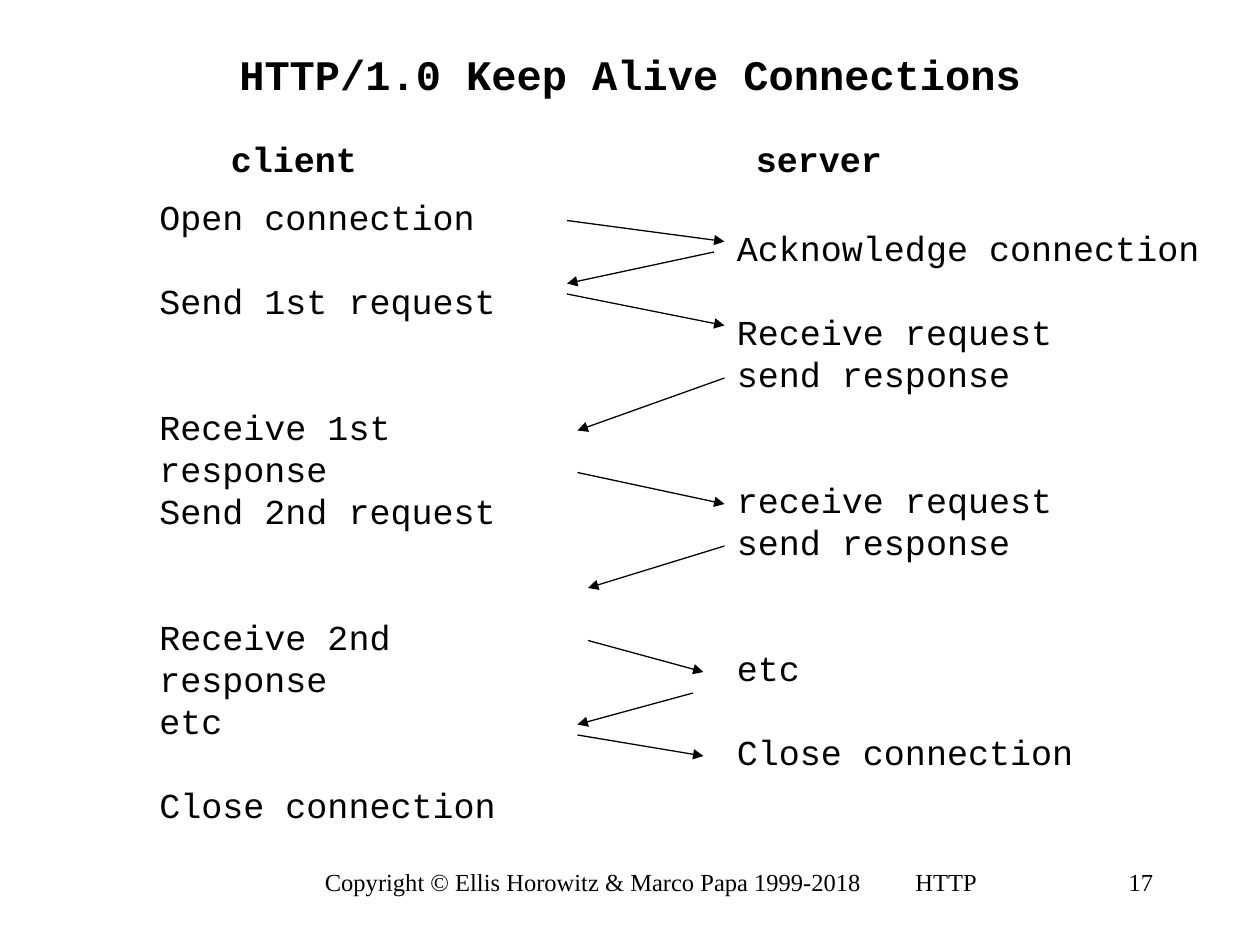
from dataclasses import dataclass

import lxml.etree
import pptx
import pptx.dml.color
import pptx.enum.shapes
import pptx.enum.text
import pptx.oxml.ns
import pptx.util

EMU_PER_PX = 7620
LINE_POINTS = 24
INK = "000000"
MONO = "Courier New"
SERIF = "Times New Roman"
ALIGN = pptx.enum.text.PP_ALIGN


@dataclass
class Step:
    text: str
    skipped_lines: int = 0


@dataclass
class TextBlock:
    left: int
    top: int
    width: int
    height: int
    steps: list[Step]
    font: str = MONO
    size: int = 20
    bold: bool = False
    align: ALIGN = ALIGN.LEFT
    wrap: bool = False
    grow: bool = True
    middle: bool = False


@dataclass
class Message:
    start_x: int
    start_y: int
    end_x: int
    end_y: int


def px(length: int) -> pptx.util.Emu:
    return pptx.util.Emu(length * EMU_PER_PX)


def color(value: str) -> pptx.dml.color.RGBColor:
    return pptx.dml.color.RGBColor.from_string(value)


def draw_text(slide, block: TextBlock) -> None:
    shape = slide.shapes.add_textbox(
        px(block.left), px(block.top), px(block.width), px(block.height)
    )
    frame = shape.text_frame
    frame.word_wrap = block.wrap
    if block.grow:
        frame.auto_size = pptx.enum.text.MSO_AUTO_SIZE.SHAPE_TO_FIT_TEXT
    if block.middle:
        frame.vertical_anchor = pptx.enum.text.MSO_ANCHOR.MIDDLE
    for index, step in enumerate(block.steps):
        paragraph = frame.add_paragraph() if index else frame.paragraphs[0]
        paragraph.text = step.text
        paragraph.alignment = block.align
        if block.size == 20:
            paragraph.line_spacing = pptx.util.Pt(LINE_POINTS)
            paragraph.space_before = pptx.util.Pt(step.skipped_lines * LINE_POINTS)
        paragraph.font.name = block.font
        paragraph.font.size = pptx.util.Pt(block.size)
        paragraph.font.bold = block.bold
        paragraph.font.color.rgb = color(INK)


def draw_message(slide, message: Message) -> None:
    connector = slide.shapes.add_connector(
        pptx.enum.shapes.MSO_CONNECTOR.STRAIGHT,
        px(message.start_x), px(message.start_y),
        px(message.end_x), px(message.end_y),
    )
    connector.line.width = pptx.util.Pt(0.75)
    connector.line.color.rgb = color(INK)
    qualified = pptx.oxml.ns.qn
    properties = connector._element.spPr
    line = properties.find(qualified("a:ln"))
    lxml.etree.SubElement(line, qualified("a:tailEnd"), type="triangle")
    lxml.etree.SubElement(properties, qualified("a:effectLst"))


CLIENT_STEPS = [
    Step("Open connection"),
    Step("Send 1st request", 1),
    Step("Receive 1st response", 2),
    Step("Send 2nd request"),
    Step("Receive 2nd response", 2),
    Step("etc"),
    Step("Close connection", 1),
]
SERVER_STEPS = [
    Step("Acknowledge connection"),
    Step("Receive request", 1),
    Step("send response"),
    Step("receive request", 2),
    Step("send response"),
    Step("etc", 2),
    Step("Close connection", 1),
]
COPYRIGHT = "Copyright © Ellis Horowitz & Marco Papa 1999-2018"
TEXT_BLOCKS = [
    TextBlock(860, 820, 83, 41, [Step("HTTP")], SERIF, 14),
    TextBlock(270, 820, 590, 60, [Step(COPYRIGHT)], SERIF, 14,
              align=ALIGN.CENTER, wrap=True, grow=False),
    TextBlock(1040, 820, 70, 60, [Step("17")], SERIF, 14,
              align=ALIGN.RIGHT, wrap=True, grow=False),
    TextBlock(90, 40, 1020, 60, [Step("HTTP/1.0 Keep Alive Connections")], size=24,
              bold=True, align=ALIGN.CENTER, wrap=True, grow=False, middle=True),
    TextBlock(140, 180, 420, 612, CLIENT_STEPS, wrap=True),
    TextBlock(690, 210, 468, 533, SERVER_STEPS),
    TextBlock(208, 125, 144, 53, [Step("client")], bold=True),
    TextBlock(708, 125, 144, 53, [Step("server")], bold=True),
]
MESSAGES = [
    Message(540, 210, 690, 230),
    Message(680, 240, 540, 270),
    Message(540, 280, 690, 310),
    Message(690, 360, 550, 410),
    Message(550, 450, 690, 480),
    Message(690, 520, 560, 560),
    Message(560, 610, 670, 640),
    Message(660, 660, 550, 690),
    Message(550, 700, 670, 720),
]


def main() -> None:
    presentation = pptx.Presentation()
    presentation.slide_width = px(1200)
    presentation.slide_height = px(900)
    slide = presentation.slides.add_slide(presentation.slide_layouts[6])
    for block in TEXT_BLOCKS:
        draw_text(slide, block)
    for message in MESSAGES:
        draw_message(slide, message)
    presentation.save("out.pptx")


if __name__ == "__main__":
    main()
